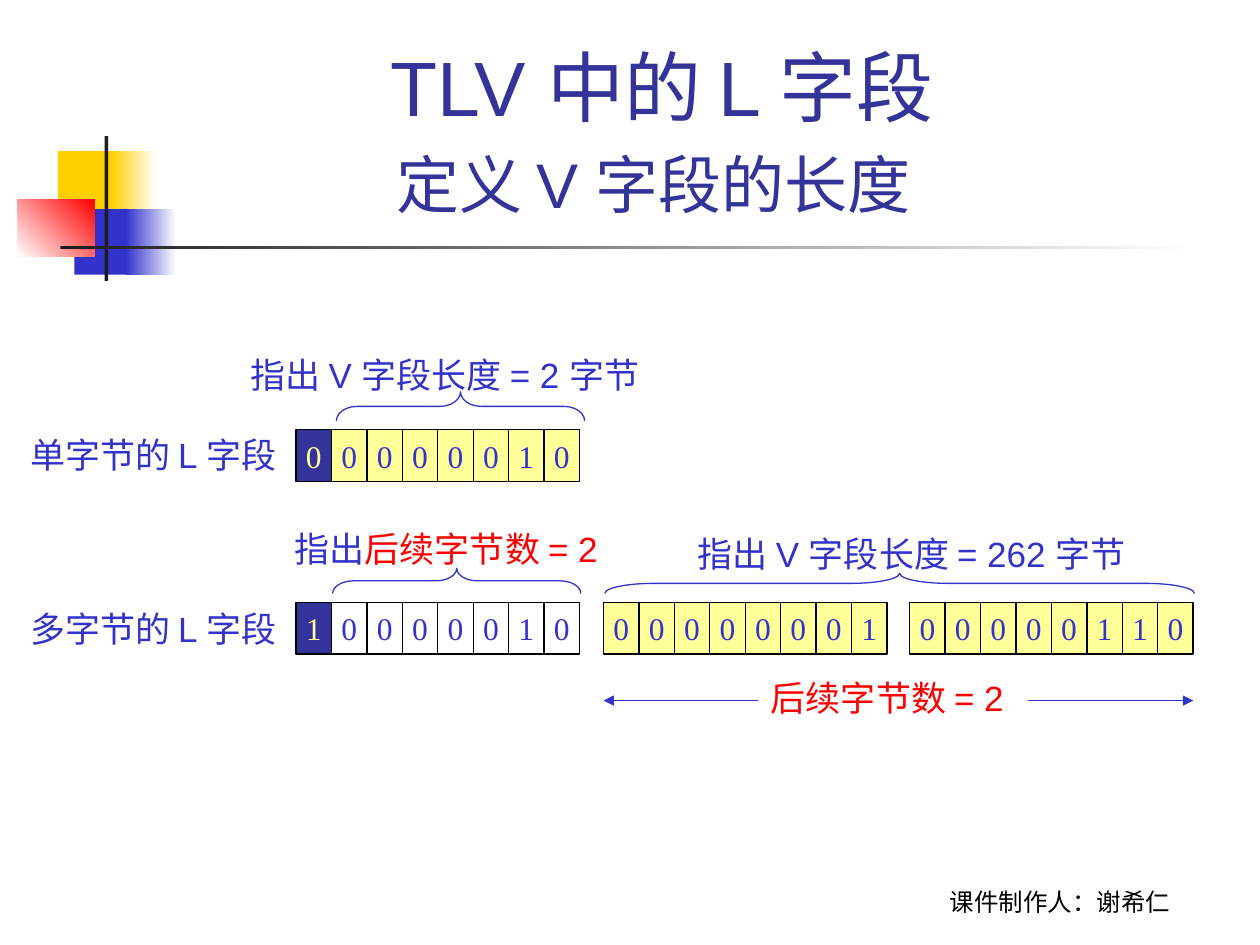
import pptx
import pptx.dml.color
import pptx.enum.shapes
import pptx.enum.text
import pptx.oxml
import pptx.oxml.ns
import pptx.util

Inches = pptx.util.Inches
Pt = pptx.util.Pt
Shape = pptx.enum.shapes.MSO_SHAPE
Align = pptx.enum.text.PP_ALIGN
Anchor = pptx.enum.text.MSO_ANCHOR
Fit = pptx.enum.text.MSO_AUTO_SIZE

BLUE, NAVY, RED = "3333CC", "333399", "FF0000"
CREAM, WHITE, DARK, GOLD = "FFFF99", "FFFFFF", "1C1C1C", "FFCF01"


def color(code):
    """Turn a hex string into a colour."""
    return pptx.dml.color.RGBColor.from_string(code)


def write(para, text, size, code, face="Arial"):
    """Add one formatted run to a paragraph."""
    run = para.add_run()
    run.text = text
    run.font.size = Pt(size)
    run.font.name = face
    run.font.color.rgb = color(code)


def block(slide, box, fill, end=None, angle=0, kind=Shape.RECTANGLE):
    """Draw a borderless shape with a plain, gradient or empty fill."""
    shape = slide.shapes.add_shape(kind, *map(Inches, box))
    shape.shadow.inherit = False
    shape.line.fill.background()
    if end:
        shape.fill.gradient()
        shape.fill.gradient_angle = angle
        for stop, code in zip(shape.fill.gradient_stops, (fill, end)):
            stop.color.rgb = color(code)
    elif fill:
        shape.fill.solid()
        shape.fill.fore_color.rgb = color(fill)
    else:
        shape.fill.background()
    return shape


def stroke(line, code):
    """Give a line its colour and width."""
    line.color.rgb = color(code)
    line.width = Pt(0.75)


def label(slide, box, runs, wrap=False):
    """Add a text box that holds coloured runs."""
    frame = slide.shapes.add_textbox(*map(Inches, box)).text_frame
    frame.word_wrap = wrap
    frame.auto_size = Fit.SHAPE_TO_FIT_TEXT
    for text, code in runs:
        write(frame.paragraphs[0], text, 20, code)


def byte(slide, left, top, bits, fill, first=None):
    """Draw eight bit cells, the first in its own fill if given."""
    step = 2.25 / 8
    for i, bit in enumerate(bits):
        flag = first and i == 0
        cell = block(slide, (left + i * step, top, step, 0.41), first if flag else fill)
        stroke(cell.line, "000000")
        frame = cell.text_frame
        frame.word_wrap = False
        frame.vertical_anchor = Anchor.MIDDLE
        para = frame.paragraphs[0]
        para.alignment = Align.CENTER
        write(para, bit, 18, CREAM if flag else BLUE, "Times New Roman")


def brace(slide, left, top, span, depth):
    """Draw a brace that opens downward over a span."""
    box = (left + (span - depth) / 2, top - (span - depth) / 2, depth, span)
    shape = block(slide, box, None, kind=Shape.RIGHT_BRACE)
    shape.rotation = 270
    shape.adjustments[0] = span / 12 / depth
    stroke(shape.line, BLUE)


def arrow(slide, left, right, y):
    """Draw a level line with arrowheads at both ends."""
    kind = pptx.enum.shapes.MSO_CONNECTOR.STRAIGHT
    line = slide.shapes.add_connector(kind, *map(Inches, (left, y, right, y)))
    stroke(line.line, BLUE)
    props = line.line._get_or_add_ln()
    for tag in ("a:headEnd", "a:tailEnd"):
        end = pptx.oxml.parse_xml(f'<{tag} {pptx.oxml.ns.nsdecls("a")} type="triangle"/>')
        props.append(end)
    spot = pptx.oxml.parse_xml(f'<a:effectLst {pptx.oxml.ns.nsdecls("a")}/>')
    line._element.spPr.append(spot)


def decor(slide):
    """Draw the coloured squares and rules beside the title."""
    block(slide, (0.46, 1.2, 0.48, 0.52), GOLD)
    block(slide, (0.88, 1.2, 0.36, 0.52), GOLD, WHITE)
    block(slide, (0.59, 1.66, 0.46, 0.52), BLUE)
    block(slide, (1, 1.66, 0.4, 0.52), BLUE, WHITE)
    block(slide, (0.14, 1.58, 0.61, 0.46), WHITE, RED, 45)
    block(slide, (0.83, 1.08, 0.03, 1.15), DARK)
    block(slide, (0.48, 1.95, 9, 0.03), DARK, WHITE)


def head(slide):
    """Place and fill the title."""
    title = slide.shapes.title
    title.left, title.top, title.width, title.height = map(Inches, (1.26, 0.23, 7.99, 1.6))
    title.text_frame.vertical_anchor = Anchor.BOTTOM
    para = title.text_frame.paragraphs[0]
    para.alignment = Align.CENTER
    write(para, "TLV 中的 L 字段", 44, NAVY)
    para.add_line_break()
    write(para, "定义 V 字段的长度", 36, NAVY)
    write(para, " ", 44, NAVY)


def credit(slide):
    """Add the author line at the foot."""
    frame = slide.shapes.add_textbox(*map(Inches, (6.83, 6.82, 3.17, 0.5))).text_frame
    frame.word_wrap = True
    frame.vertical_anchor = Anchor.BOTTOM
    para = frame.paragraphs[0]
    para.alignment = Align.CENTER
    write(para, "课件制作人：谢希仁", 14, "000000", "Cabin")


def main():
    """Build the slide and save it."""
    deck = pptx.Presentation()
    deck.slide_width, deck.slide_height = Inches(10), Inches(7.5)
    slide = deck.slides.add_slide(deck.slide_layouts[5])
    decor(slide)
    credit(slide)
    head(slide)

    label(slide, (1.89, 2.76, 3.55, 0.44), [("指出 V 字段长度 = 2 字节", BLUE)])
    byte(slide, 2.35, 3.41, "00000010", CREAM, NAVY)
    byte(slide, 2.35, 4.78, "10000010", WHITE, NAVY)
    byte(slide, 4.79, 4.78, "00000001", CREAM)
    byte(slide, 7.22, 4.78, "00000110", CREAM)

    label(slide, (0.14, 3.39, 2.3, 0.44), [("单字节的 L 字段", BLUE)])
    label(slide, (0.14, 4.77, 2.3, 0.44), [("多字节的 L 字段", BLUE)])
    brace(slide, 2.67, 3.11, 1.97, 0.23)
    brace(slide, 4.8, 4.55, 4.68, 0.16)
    brace(slide, 2.64, 4.51, 1.97, 0.2)
    label(slide, (5.44, 4.18, 3.86, 0.44), [("指出 V 字段长度 = 262 字节", BLUE)])
    label(slide, (2.24, 4.14, 2.91, 0.44), [("指出", BLUE), ("后续字节数 = 2", RED)], True)

    arrow(slide, 4.79, 9.47, 5.56)
    block(slide, (6.02, 5.32, 2.14, 0.44), WHITE)
    label(slide, (6.02, 5.32, 2.14, 0.44), [("后续字节数 = 2", RED)], True)
    deck.save("out.pptx")


if __name__ == "__main__":
    main()
